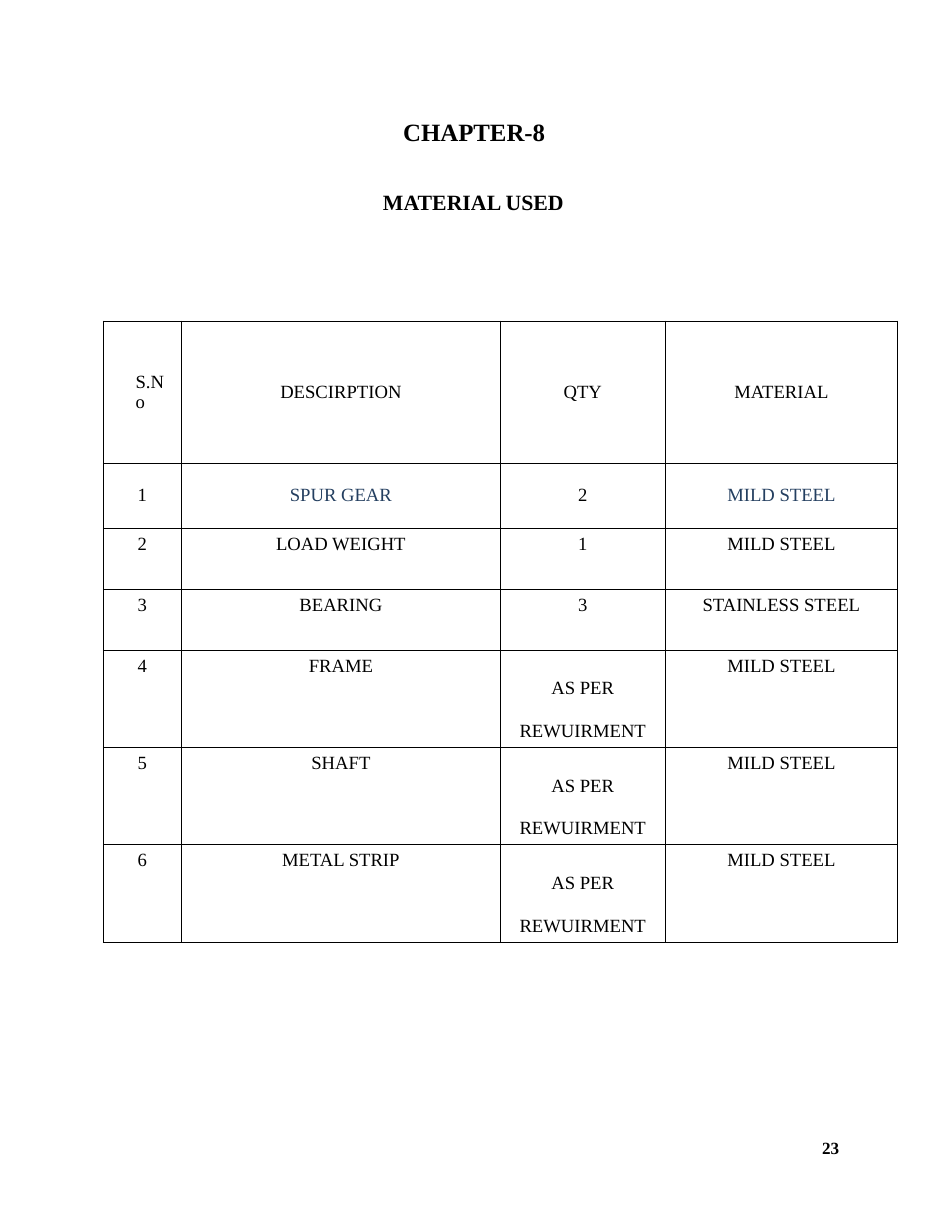
from dataclasses import dataclass

from pptx import Presentation
from pptx.dml.color import RGBColor
from pptx.enum.text import MSO_ANCHOR as Anchor, MSO_AUTO_SIZE as AutoSize, PP_ALIGN as Align
from pptx.oxml.ns import qn
from pptx.util import Pt
from lxml.etree import SubElement

COLORS = {"text": "000000", "accent": "243F60", "border": "000000"}
FONT = "Times New Roman"
BORDER_WIDTH = 0.45
COLUMN_WIDTHS = (50.4, 205, 106, 149.4)
HEADERS = ("S.No", "DESCIRPTION", "QTY", "MATERIAL")
HEADER_HEIGHT = 91.4
AS_REQUIRED = "AS PER REWUIRMENT"


@dataclass(frozen=True)
class Material:
    description: str
    qty: str
    material: str
    height: float
    highlighted: bool = False


@dataclass(frozen=True)
class Label:
    text: str
    left: float
    top: float
    width: float
    height: float
    size: float
    space_after: float = 0


MATERIALS = (
    Material("SPUR GEAR", "2", "MILD STEEL", 41.8, highlighted=True),
    Material("LOAD WEIGHT", "1", "MILD STEEL", 39),
    Material("BEARING", "3", "STAINLESS STEEL", 39.6),
    Material("FRAME", AS_REQUIRED, "MILD STEEL", 56.2),
    Material("SHAFT", AS_REQUIRED, "MILD STEEL", 56.2),
    Material("METAL STRIP", AS_REQUIRED, "MILD STEEL", 56.2),
)
TITLE = Label("CHAPTER-8", 259.2, 74.9, 92.9, 14.4, 16)
LABELS = (
    Label("MATERIAL USED", 246.2, 121, 120.2, 13, 14, space_after=50.4),
    Label("23", 528.5, 731.5, 12.2, 10.1, 11),
)


def write_text(tf, text: str, *, size: float = 12, bold: bool = False, color: str = "text",
               align=Align.LEFT, line_spacing: float = 0, space_after: float = 0,
               indent: float = 0) -> None:
    p = tf.paragraphs[0]
    p.alignment = align
    p.space_before = Pt(0)
    p.space_after = Pt(space_after)
    if line_spacing:
        p.line_spacing = Pt(line_spacing)
    if indent:
        p._p.get_or_add_pPr().set("marL", str(Pt(indent)))
    r = p.add_run()
    r.text = text
    r.font.name = FONT
    r.font.size = Pt(size)
    r.font.bold = bold
    r.font.color.rgb = RGBColor.from_string(COLORS[color])


def fill_label(s, label: Label) -> None:
    s.left, s.top = Pt(label.left), Pt(label.top)
    s.width, s.height = Pt(label.width), Pt(label.height)
    tf = s.text_frame
    tf.margin_left = tf.margin_right = tf.margin_top = tf.margin_bottom = 0
    tf.word_wrap = False
    tf.auto_size = AutoSize.NONE
    tf.vertical_anchor = Anchor.TOP
    write_text(tf, label.text, size=label.size, bold=True, space_after=label.space_after)


def add_borders(cell) -> None:
    tc_pr = cell._tc.get_or_add_tcPr()
    for side in ("lnL", "lnR", "lnT", "lnB"):
        ln = SubElement(tc_pr, qn(f"a:{side}"), w=str(Pt(BORDER_WIDTH)))
        fill = SubElement(ln, qn("a:solidFill"))
        SubElement(fill, qn("a:srgbClr"), val=COLORS["border"])


def fill_cell(cell, text: str, middle: bool, **text_format) -> None:
    add_borders(cell)
    cell.fill.background()
    cell.vertical_anchor = Anchor.MIDDLE if middle else Anchor.TOP
    write_text(cell.text_frame, text, **text_format)


def add_material_table(slide) -> None:
    heights = (HEADER_HEIGHT, *(m.height for m in MATERIALS))
    table = slide.shapes.add_table(
        len(heights), len(COLUMN_WIDTHS), Pt(66.3), Pt(206.4),
        Pt(sum(COLUMN_WIDTHS)), Pt(sum(heights))).table
    table.first_row = table.horz_banding = False
    for column, width in zip(table.columns, COLUMN_WIDTHS):
        column.width = Pt(width)
    for row, height in zip(table.rows, heights):
        row.height = Pt(height)

    for col, header in enumerate(HEADERS):
        text_format = {"align": Align.CENTER} if col else {"indent": 13.7}
        fill_cell(table.cell(0, col), header, True, **text_format)
    for row, m in enumerate(MATERIALS, start=1):
        name_color = "accent" if m.highlighted else "text"
        values = (str(row), m.description, m.qty, m.material)
        for col, value in enumerate(values):
            fill_cell(table.cell(row, col), value, m.highlighted, align=Align.CENTER,
                      color=name_color if col in (1, 3) else "text",
                      line_spacing=27.6 if value == AS_REQUIRED else 0)


def main() -> None:
    prs = Presentation()
    prs.slide_width, prs.slide_height = Pt(612), Pt(792)
    slide = prs.slides.add_slide(prs.slide_layouts[5])
    fill_label(slide.shapes.title, TITLE)
    for label in LABELS:
        fill_label(slide.shapes.add_textbox(0, 0, 0, 0), label)
    add_material_table(slide)
    prs.save("out.pptx")


if __name__ == "__main__":
    main()
